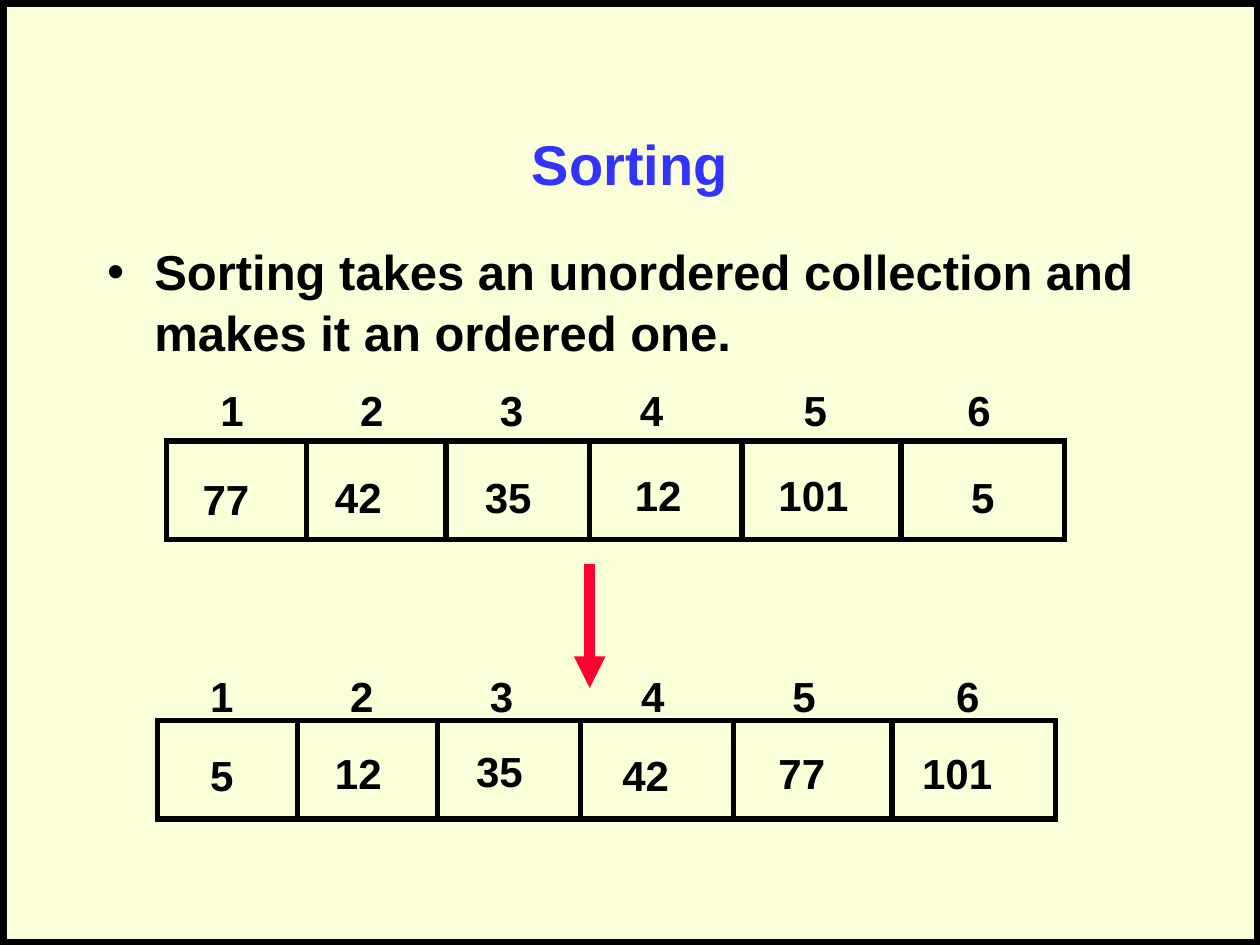
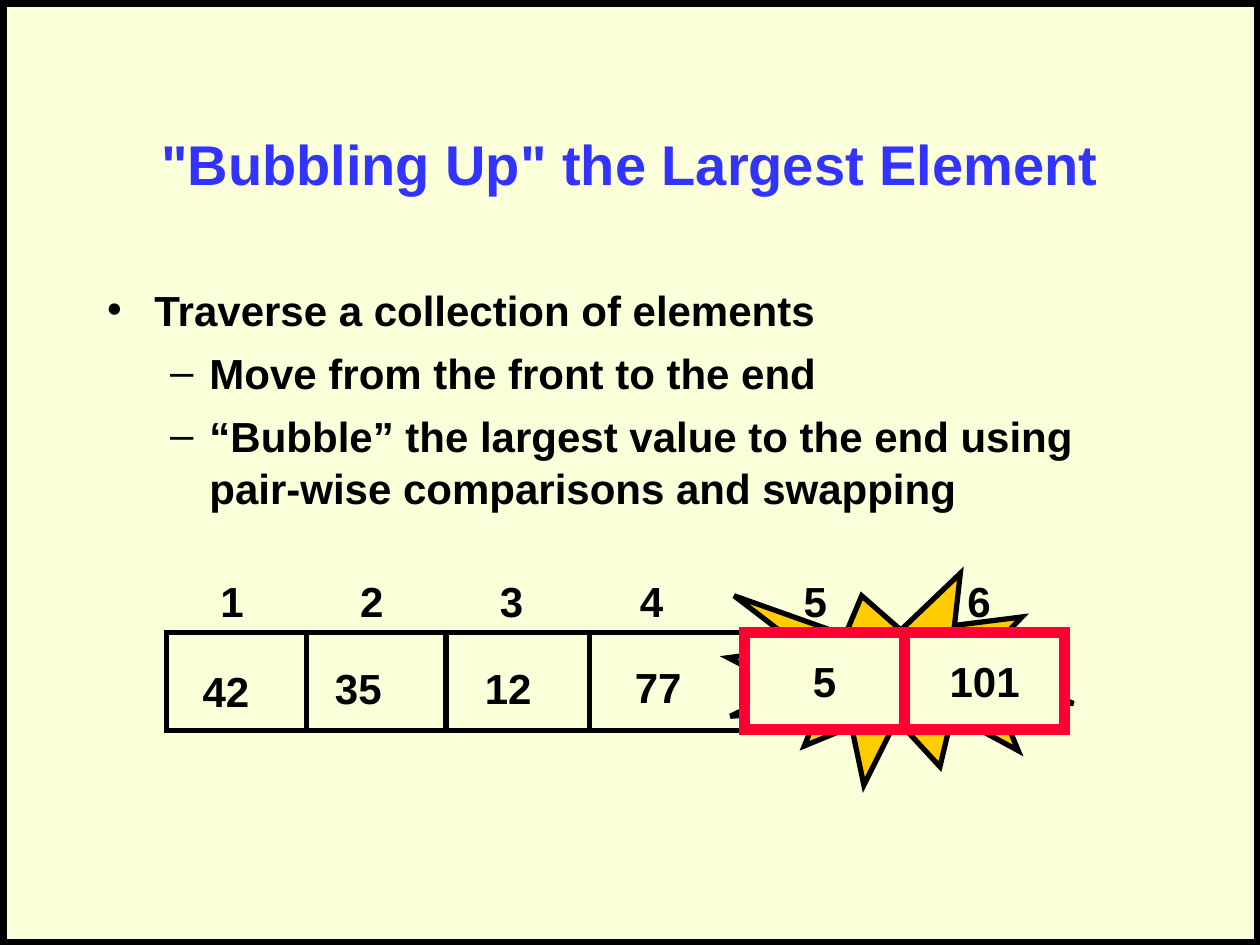
from itertools import accumulate

from lxml.etree import SubElement
from pptx import Presentation
from pptx.dml.color import RGBColor
from pptx.enum.shapes import MSO_CONNECTOR, MSO_SHAPE
from pptx.enum.text import MSO_ANCHOR, MSO_AUTO_SIZE, PP_ALIGN
from pptx.oxml.ns import qn
from pptx.util import Inches, Pt

COLORS = {"page": "FAFFD9", "ink": "000000", "title": "3333FF",
          "alert": "FF0033", "burst": "FFCC00"}
FONT = "Arial"
COLUMNS, ROWS = 100, 75
ARRAY_WIDTH, ARRAY_HEIGHT = 71.3, 7.8
DIVIDERS = (11.1, 22.2, 33.6, 45.7, 58.3)
DIGIT_WIDTH = 1.86


def color(name):
    return RGBColor.from_string(COLORS[name])


def write(paragraph, text, size=24, ink="ink", align=None):
    span = paragraph.add_run()
    span.text = text
    span.font.name = FONT
    span.font.size = Pt(size)
    span.font.bold = True
    span.font.color.rgb = color(ink)
    if align is not None:
        paragraph.alignment = align


class SlideBuilder:
    """Places elements on the current page, measured in grid columns and rows."""

    def __init__(self, deck):
        self.deck = deck
        self.page = None
        self.column = deck.slide_width / COLUMNS
        self.row = deck.slide_height / ROWS
        fill = deck.slide_master.background.fill
        fill.solid()
        fill.fore_color.rgb = color("page")

    def area(self, left, top, width, height):
        return (round(left * self.column), round(top * self.row),
                round(width * self.column), round(height * self.row))

    def add_page(self, title):
        self.page = self.deck.slides.add_slide(self.deck.slide_layouts[1])
        frame = self.fill_placeholder(self.page.shapes.title, (7.5, 6.7, 85, 12.5))
        frame.vertical_anchor = MSO_ANCHOR.MIDDLE
        write(frame.paragraphs[0], title, size=32, ink="title", align=PP_ALIGN.CENTER)

    def fill_placeholder(self, box, area):
        box.left, box.top, box.width, box.height = self.area(*area)
        frame = box.text_frame
        frame.word_wrap = True
        frame.auto_size = MSO_AUTO_SIZE.NONE
        return frame

    def add_bullets(self, items, top, height, size=24):
        """Fill the body placeholder with (level, text) items."""
        frame = self.fill_placeholder(self.page.placeholders[1], (7.5, top, 85, height))
        for position, (level, text) in enumerate(items):
            paragraph = frame.add_paragraph() if position else frame.paragraphs[0]
            paragraph.level = level
            paragraph.line_spacing = 1.04
            paragraph.space_before = Pt(6 if position else 0)
            write(paragraph, text, size=size)

    def stroke(self, element, ink, width, arrow=False):
        """Draw a sharp-cornered line, with an arrowhead at its end if asked."""
        element.line.color.rgb = color(ink)
        element.line.width = Pt(width)
        outline = element._element.spPr.find(qn("a:ln"))
        SubElement(outline, qn("a:miter"), lim="800000")
        if arrow:
            SubElement(outline, qn("a:tailEnd"), type="triangle")

    def add_shape(self, area, kind=MSO_SHAPE.RECTANGLE, fill=None, ink="ink",
                  width=3, text=None):
        shape = self.page.shapes.add_shape(kind, *self.area(*area))
        shape.shadow.inherit = False
        if fill:
            shape.fill.solid()
            shape.fill.fore_color.rgb = color(fill)
        else:
            shape.fill.background()
        self.stroke(shape, ink, width)
        if text:
            shape.text_frame.vertical_anchor = MSO_ANCHOR.MIDDLE
            write(shape.text_frame.paragraphs[0], text, align=PP_ALIGN.CENTER)
        return shape

    def add_line(self, column, top, bottom, ink="ink", width=3, arrow=False):
        left, start, _, end = self.area(column, top, 0, bottom)
        line = self.page.shapes.add_connector(
            MSO_CONNECTOR.STRAIGHT, left, start, left, end)
        self.stroke(line, ink, width, arrow)
        SubElement(line._element.spPr, qn("a:effectLst"))

    def add_text(self, text, left, top, width, tabs=()):
        box = self.page.shapes.add_textbox(*self.area(left, top, width, 5))
        box.text_frame.word_wrap = bool(tabs)
        paragraph = box.text_frame.paragraphs[0]
        if tabs:
            stops = SubElement(paragraph._p.get_or_add_pPr(), qn("a:tabLst"))
            for stop in tabs:
                SubElement(stops, qn("a:tab"), pos=str(round(stop * self.column)), algn="l")
        write(paragraph, text)

    def add_array(self, left, top, values, index_left, index_top, index_steps):
        """Draw a six-cell array; values are (text, left, top) within it."""
        self.add_shape((left, top, ARRAY_WIDTH, ARRAY_HEIGHT))
        for divider in DIVIDERS:
            self.add_line(left + divider, top, top + ARRAY_HEIGHT)
        for text, across, down in values:
            self.add_text(text, left + across, top + down, 2 + DIGIT_WIDTH * len(text))
        self.add_text("\t".join("123456"), index_left, index_top, 64,
                      tabs=tuple(accumulate(index_steps)))

    def add_master_frame(self):
        """Move a border frame into the master, behind everything else."""
        frame = self.add_shape((0.3, 0.3, 99.5, 74.5), width=3.75)
        self.deck.slide_master.shapes._spTree.insert(2, frame._element)


UPPER_STEPS = (11.1, 11.1, 11.1, 13, 13)
LOWER_STEPS = (11.1, 11.1, 12, 12, 13)


def build_sorting(builder):
    builder.add_page("Sorting")
    builder.add_master_frame()
    builder.add_bullets(
        [(0, "Sorting takes an unordered collection and makes it an ordered one.")],
        top=18.5, height=48, size=28)
    builder.add_array(
        13.2, 35,
        [("77", 1.9, 2.1), ("42", 12.4, 1.9), ("35", 24.3, 1.9),
         ("12", 36.2, 1.8), ("101", 47.6, 1.8), ("5", 62.9, 1.9)],
        index_left=16.5, index_top=30, index_steps=UPPER_STEPS)
    builder.add_array(
        12.5, 57.2,
        [("5", 3.2, 1.8), ("12", 13.1, 1.6), ("35", 24.3, 1.5),
         ("42", 35.9, 1.8), ("77", 48.3, 1.6), ("101", 59.7, 1.6)],
        index_left=15.7, index_top=52.7, index_steps=LOWER_STEPS)
    builder.add_line(46.8, 44.8, 54.6, ink="alert", width=6, arrow=True)


def build_bubbling(builder):
    builder.add_page('"Bubbling Up" the Largest Element')
    builder.add_bullets(
        [(0, "Traverse a collection of elements"),
         (1, "Move from the front to the end"),
         (1, "“Bubble” the largest value to the end using "
             "pair-wise comparisons and swapping")],
        top=21.9, height=44.7)
    builder.add_array(
        13.2, 50.2,
        [("42", 1.9, 2.1), ("35", 12.4, 1.9), ("12", 24.3, 1.9), ("77", 36.2, 1.8)],
        index_left=16.5, index_top=45.2, index_steps=UPPER_STEPS)
    builder.add_shape((57.8, 45.5, 27.4, 16.8), kind=MSO_SHAPE.EXPLOSION1, fill="burst")
    for position, value in enumerate(("5", "101")):
        builder.add_shape((59.1 + 12.7 * position, 50.2, 12.7, 7.7),
                          fill="page", ink="alert", width=6, text=value)


def main():
    deck = Presentation()
    deck.slide_width, deck.slide_height = Inches(10), Inches(7.5)
    builder = SlideBuilder(deck)
    build_sorting(builder)
    build_bubbling(builder)
    deck.save("out.pptx")


if __name__ == "__main__":
    main()
